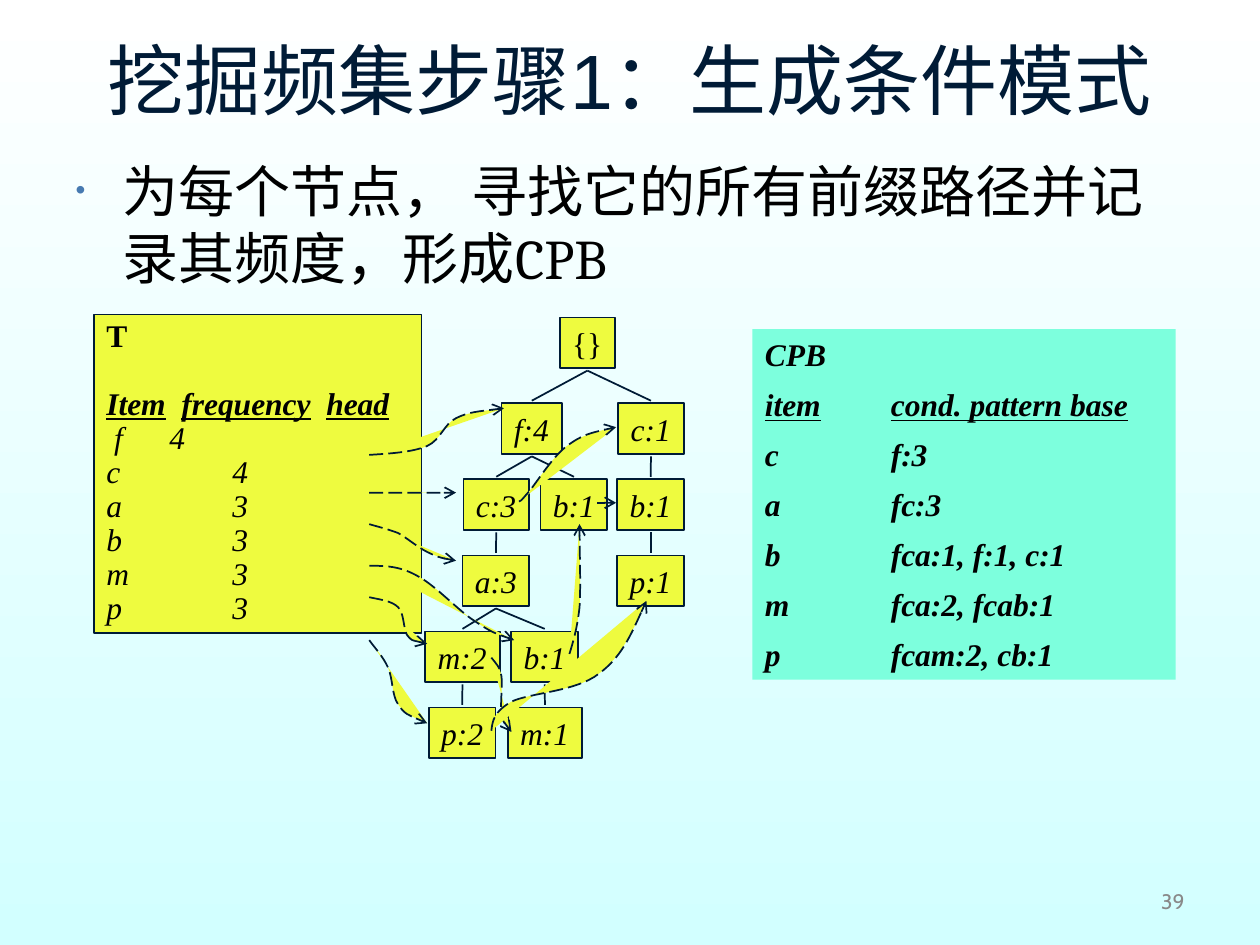
from lxml import etree
from pptx import Presentation
from pptx import util as u
from pptx.dml import color
from pptx.enum import dml, shapes, text
from pptx.oxml import ns

INK, YELLOW, MINT, BLACK = "001B36", "EEFB3F", "7DFFDD", "000000"
SERIF = {"name": "Times New Roman", "size": u.Pt(18)}
ITALIC = {**SERIF, "italic": True}
BOLD = {**SERIF, "bold": True}
BOLD_ITALIC = {**BOLD, "italic": True}
HEADING = {**BOLD_ITALIC, "underline": True}

NODE_HEIGHT, ROW_TOP, ROW_STEP, ROOT_TOP, GAP = 28.8, 230.5, 43.45, 181.5, 1.5
NODE_WIDTHS = {"{": 31.7, "f": 34.6, "c": 37.4, "a": 38.2, "b": 38.2, "p": 38.2, "m": 42.5}
TREE = {
    "root": ("{}", 335.7, None, None),
    "f": ("f:4", 303.9, 0, "root"),
    "c right": ("c:1", 372, 0, "root"),
    "c left": ("c:3", 283.6, 1, "f"),
    "b middle": ("b:1", 328, 1, "f"),
    "b right": ("b:1", 371.8, 1, "c right"),
    "a": ("a:3", 283.4, 2, "c left"),
    "p right": ("p:1", 371.8, 2, "b right"),
    "m left": ("m:2", 264.3, 3, "a"),
    "b low": ("b:1", 311.3, 3, "a"),
    "p left": ("p:2", 264.1, 4, "m left"),
    "m low": ("m:1", 311.4, 4, "b low"),
}
CURVED_LINKS = [
    [(211, 260), (223.2, 259.2), (235.4, 258.5), (244.1, 254.9), (252, 251.3),
     (253.4, 242.6), (260.6, 239), (267.8, 235.4), (277.9, 234.7), (288, 233.3)],
    [(211, 281.5), (211, 281.5), (235.4, 281.7), (260.6, 281.5)],
    [(296.6, 286.6), (297.4, 286.6), (297.4, 286.6), (302.4, 280.8), (306.7, 275.8),
     (316.1, 260.6), (324, 254.9), (332.6, 248.4), (342, 246.2), (352.1, 244.1)],
    [(211, 299.5), (216, 301), (221.8, 302.4), (227.5, 304.6), (232.6, 307.4),
     (238.3, 312.5), (244.1, 315.4), (249.8, 318.2), (254.9, 319.7), (260.6, 320.4)],
    [(211, 323.3), (219.6, 323.3), (228.2, 323.3), (238.3, 329), (248.4, 334.1),
     (262.1, 349.2), (271.4, 355), (280.8, 361.4), (287.3, 363.6), (293.8, 365.8)],
    [(325.4, 373.7), (327.6, 366.5), (329.8, 359.3), (331.2, 347), (331.9, 334.8),
     (331.2, 317.5), (331.2, 299.5)],
    [(211, 341.3), (217.4, 342.7), (223.9, 343.4), (227.5, 347), (231.1, 350.6),
     (230.4, 359.3), (232.6, 362.9), (235.4, 366.5), (239.8, 367.2), (244.1, 367.9)],
    [(280.8, 375.8), (283, 378.7), (285.8, 380.9), (286.6, 386.6), (287.3, 391.7),
     (285.8, 402.5), (286.6, 407.5), (287.3, 412.6), (289.4, 415.4), (292.3, 418.3)],
    [(211, 365.8), (214.6, 370.8), (218.9, 375.1), (221.8, 381.6), (224.6, 388.1),
     (223.9, 397.4), (227.5, 402.5), (231.1, 408.2), (237.6, 410.4), (244.1, 413.3)],
    [(280.8, 417.6), (281.5, 411.8), (282.2, 406.8), (292.3, 401), (302.4, 396),
     (329, 395.3), (342, 385.2), (355, 375.8), (362.2, 359.3), (369.4, 343.4)],
]


def rgb(value):
    return color.RGBColor.from_string(value)


def apply(target, values):
    for key, value in values.items():
        setattr(target, key, value)


def fill_with(fill, value):
    fill.solid()
    fill.fore_color.rgb = rgb(value)


def add_xml(parent, tag, **attributes):
    return etree.SubElement(parent, ns.qn(tag), attributes)


def indent(paragraph, margin, first):
    properties = paragraph._p.get_or_add_pPr()
    properties.set("marL", str(u.Pt(margin)))
    properties.set("indent", str(u.Pt(first)))
    return properties


def write(paragraph, words, font, ink=BLACK, tabs=(), **layout):
    properties = paragraph._p.get_or_add_pPr()
    if tabs:
        stops = add_xml(properties, "a:tabLst")
        for stop in tabs:
            add_xml(stops, "a:tab", pos=str(u.Pt(stop)), algn="l")
    apply(paragraph, layout)
    run = paragraph.add_run()
    run.text = words
    apply(run.font, font)
    run.font.color.rgb = rgb(ink)


def place(shape, *box):
    apply(shape, dict(zip(("left", "top", "width", "height"), map(u.Pt, box))))


def outline(shape, arrow=False):
    fill_with(shape.line.fill, INK)
    shape.line.width = u.Pt(1)
    if arrow:
        shape.line.dash_style = dml.MSO_LINE.LONG_DASH
        add_xml(shape._element.spPr.find(ns.qn("a:ln")), "a:tailEnd", type="arrow")


def add_box(slide, box, fill, outlined=True, wrap=True):
    panel = slide.shapes.add_shape(shapes.MSO_SHAPE.RECTANGLE, *map(u.Pt, box))
    panel.shadow.inherit = False
    fill_with(panel.fill, fill)
    if outlined:
        outline(panel)
    else:
        panel.line.fill.background()
    apply(panel.text_frame, {
        "word_wrap": wrap,
        "auto_size": text.MSO_AUTO_SIZE.SHAPE_TO_FIT_TEXT,
        "vertical_anchor": text.MSO_ANCHOR.TOP,
    })
    return panel.text_frame


def add_line(slide, ends, arrow=False):
    link = slide.shapes.add_connector(shapes.MSO_CONNECTOR.STRAIGHT, *map(u.Pt, ends))
    outline(link, arrow)
    add_xml(link._element.spPr, "a:effectLst")


def add_curve(slide, knots):
    start, *rest = [tuple(map(u.Pt, knot)) for knot in knots]
    builder = slide.shapes.build_freeform(*start)
    builder.add_line_segments(rest, close=False)
    curve = builder.convert_to_shape()
    track = next(curve._element.iter(ns.qn("a:path")))
    segments = track.findall(ns.qn("a:lnTo"))
    for i in range(0, len(segments), 3):
        bend = add_xml(track, "a:cubicBezTo")
        for segment in segments[i:i + 3]:
            bend.append(segment[0])
            track.remove(segment)
    curve.shadow.inherit = False
    fill_with(curve.fill, YELLOW)
    outline(curve, arrow=True)


def add_rows(frame, rows):
    for i, (words, font, layout) in enumerate(rows):
        paragraph = frame.add_paragraph() if i else frame.paragraphs[0]
        write(paragraph, words, font, **layout)


def node_top(row):
    return ROOT_TOP if row is None else ROW_TOP + ROW_STEP * row


def add_tree(slide):
    for label, center, row, parent in TREE.values():
        top, width = node_top(row), NODE_WIDTHS[label[0]]
        frame = add_box(slide, (center - width / 2, top, width, NODE_HEIGHT), YELLOW, wrap=False)
        write(frame.paragraphs[0], label, ITALIC if parent else SERIF,
              alignment=text.PP_ALIGN.LEFT)
        if parent:
            _, parent_center, parent_row, _ = TREE[parent]
            parent_bottom = node_top(parent_row) + NODE_HEIGHT
            add_line(slide, (parent_center, parent_bottom + GAP, center, top - GAP))


def add_header_table(slide):
    layout = {"line_spacing": 0.9, "alignment": text.PP_ALIGN.LEFT}
    rows = [("T", BOLD, layout),
            ("Item\tfrequency\thead", HEADING,
             {**layout, "tabs": (42.9, 125.7), "space_before": u.Pt(19.4)})]
    counts = {"f": 4, "c": 4, "a": 3, "b": 3, "m": 3, "p": 3}
    rows += [(f"{item}\t{count}", ITALIC, {**layout, "tabs": (72,)})
             for item, count in counts.items()]
    frame = add_box(slide, (53.7, 179.7, 187.2, 182.2), YELLOW)
    add_rows(frame, rows)
    indent(frame.paragraphs[2], 0, 4.5)


def add_pattern_base(slide):
    left = {"alignment": text.PP_ALIGN.LEFT}
    layout = {**left, "line_spacing": 0.8, "space_before": u.Pt(11.2), "tabs": (72,)}
    patterns = {"c": "f:3", "a": "fc:3", "b": "fca:1, f:1, c:1",
                "m": "fca:2, fcab:1", "p": "fcam:2, cb:1"}
    rows = [("CPB", BOLD_ITALIC, left), ("item\tcond. pattern base", HEADING, layout)]
    rows += [(f"{item}\t{base}", BOLD_ITALIC, layout) for item, base in patterns.items()]
    add_rows(add_box(slide, (430, 188.1, 241.9, 200.2), MINT, outlined=False), rows)


def add_headline(slide):
    title, body = slide.placeholders
    place(title, 36, 0, 648, 90)
    apply(title.text_frame, {"vertical_anchor": text.MSO_ANCHOR.MIDDLE,
                             "auto_size": text.MSO_AUTO_SIZE.NONE})
    write(title.text_frame.paragraphs[0], "挖掘频集步骤1：生成条件模式",
          {"name": "Arial", "size": u.Pt(44)}, INK, alignment=text.PP_ALIGN.CENTER)
    place(body, 36, 85.7, 648, 356.4)
    body.text_frame.auto_size = text.MSO_AUTO_SIZE.NONE
    point = body.text_frame.paragraphs[0]
    properties = indent(point, 27, -27)
    add_xml(add_xml(properties, "a:buClr"), "a:srgbClr", val="477AB1")
    add_xml(properties, "a:buSzPct", val="50000")
    add_xml(properties, "a:buChar", char="•")
    write(point, "为每个节点， 寻找它的所有前缀路径并记录其频度，形成CPB",
          {"name": "Cambria", "size": u.Pt(32)}, space_before=u.Pt(0))


def add_page_number(slide):
    frame = slide.shapes.add_textbox(*map(u.Pt, (516.2, 500.4, 167.8, 28.8))).text_frame
    apply(frame, {"word_wrap": True, "vertical_anchor": text.MSO_ANCHOR.MIDDLE})
    write(frame.paragraphs[0], "39", {"name": "Cabin", "size": u.Pt(12)}, "898989",
          alignment=text.PP_ALIGN.RIGHT)


def paint_background(slide):
    fill = slide.background.fill
    fill.gradient()
    fill.gradient_angle = 270
    for stop, position, value in zip(fill.gradient_stops, (0, 1), ("FFFFFF", "D2FFFF")):
        stop.position = position
        stop.color.rgb = rgb(value)


def main():
    deck = Presentation()
    apply(deck, {"slide_width": u.Pt(720), "slide_height": u.Pt(540)})
    slide = deck.slides.add_slide(deck.slide_layouts[1])
    paint_background(slide)
    add_page_number(slide)
    add_headline(slide)
    add_pattern_base(slide)
    add_tree(slide)
    add_header_table(slide)
    for knots in CURVED_LINKS:
        add_curve(slide, knots)
    add_line(slide, (341.3, 287.3, 352.1, 287.3), arrow=True)
    deck.save("out.pptx")


if __name__ == "__main__":
    main()
